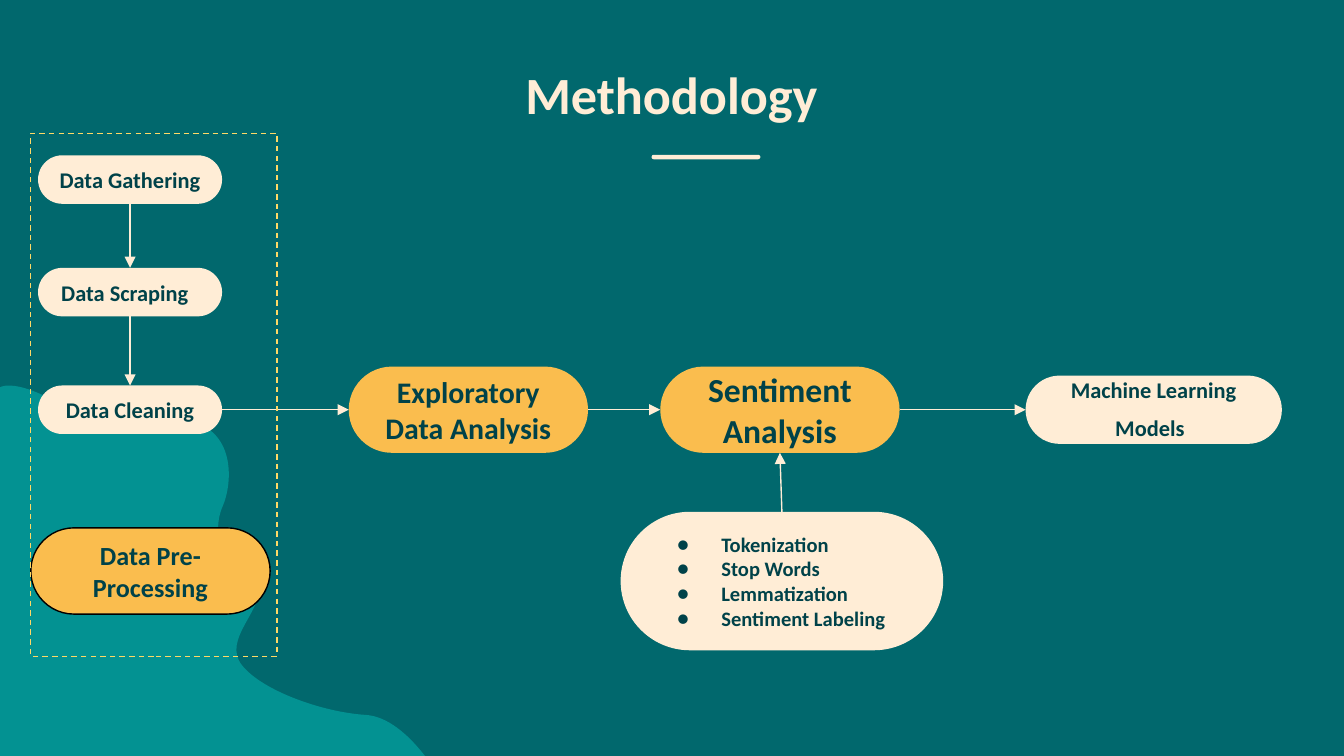
import pptx
import pptx.dml.color
import pptx.enum.dml
import pptx.enum.shapes
import pptx.enum.text
import pptx.oxml
import pptx.oxml.ns
import pptx.util

Pt = pptx.util.Pt
RGBColor = pptx.dml.color.RGBColor
SHAPE = pptx.enum.shapes.MSO_SHAPE
ALIGN = pptx.enum.text.PP_ALIGN
ANCHOR = pptx.enum.text.MSO_ANCHOR

TEAL = RGBColor(0x01, 0x68, 0x6D)
WAVE = RGBColor(0x03, 0x92, 0x92)
CREAM = RGBColor(0xFF, 0xED, 0xD6)
AMBER = RGBColor(0xFA, 0xBD, 0x4E)
INK = RGBColor(0x00, 0x42, 0x49)
GOLD = RGBColor(0xFF, 0xD9, 0x66)
BLACK = RGBColor(0, 0, 0)
FONT = "Calibri"
INSET = 7.2

TITLE = "Methodology"
TECHNIQUES = ["Tokenization", "Stop Words", "Lemmatization", "Sentiment Labeling"]

SMALL, LARGE, MODELS = (98.6, 26), (128.2, 46.2), (137.3, 36.6)
ROW_Y, COLUMN_X = 219.5, 69.7
STEPS = {
    "gathering": ("Data Gathering", COLUMN_X, 96.2, SMALL, CREAM, 12),
    "scraping": ("Data Scraping", COLUMN_X, 156.5, SMALL, CREAM, 12),
    "cleaning": ("Data Cleaning", COLUMN_X, ROW_Y, SMALL, CREAM, 12),
    "preprocessing": ("Data Pre-Processing", 80.6, 305.9, LARGE, AMBER, 14),
    "exploratory": ("Exploratory Data Analysis", 250.9, ROW_Y, LARGE, AMBER, 16),
    "sentiment": ("Sentiment Analysis", 417.8, ROW_Y, LARGE, AMBER, 18),
    "models": ("Machine Learning Models", 618.1, ROW_Y, MODELS, CREAM, 12),
}
TOP, LEFT, BOTTOM, RIGHT = range(4)
ARROWS = [
    ("gathering", BOTTOM, "scraping", TOP),
    ("scraping", BOTTOM, "cleaning", TOP),
    ("cleaning", RIGHT, "exploratory", LEFT),
    ("exploratory", RIGHT, "sentiment", LEFT),
    ("sentiment", RIGHT, "models", LEFT),
    ("techniques", TOP, "sentiment", BOTTOM),
]
WAVE_START = (-0.89, 1.78)
WAVE_CURVES = [
    (-0.9, 1.78, -0.92, 1.79, -0.93, 1.79),
    (-1.15, 1.85, -1.1, 5.42, -1.1, 5.42),
    (-1.1, 5.42, 1.05, 6.17, 1.48, 6.15),
    (1.49, 6.15, 1.5, 6.15, 1.5, 6.15),
    (1.86, 6.1, 3.32, 5.87, 3.32, 5.87),
    (3.32, 5.87, 3.05, 5.34, 2.72, 5.32),
    (2.4, 5.3, 1.95, 5.14, 1.8, 4.95),
    (1.65, 4.76, 1.96, 4.54, 1.92, 4.37),
    (1.88, 4.2, 1.72, 4.19, 1.67, 4.12),
    (1.62, 4.04, 1.6, 3.89, 1.66, 3.76),
    (1.72, 3.62, 1.76, 3.26, 1.47, 3.15),
    (1.47, 3.15, 1.43, 2.96, 1.17, 2.97),
    (1.17, 2.97, 1.16, 2.97, 1.15, 2.97),
    (0.94, 2.99, 0.79, 3.11, 0.67, 3.12),
    (0.63, 3.12, 0.59, 3.11, 0.56, 3.08),
    (0.43, 2.99, 0.2, 2.86, 0.05, 2.87),
    (0.03, 2.87, 0, 2.88, -0.02, 2.89),
    (-0.02, 2.89, 0.03, 2.71, -0.16, 2.7),
    (-0.16, 2.7, -0.54, 2.55, -0.53, 2.38),
    (-0.53, 2.23, -0.68, 1.77, -0.89, 1.78),
]


def add_child(parent, tag, **attributes):
    child = pptx.oxml.parse_xml(f"<a:{tag} {pptx.oxml.ns.nsdecls('a')}/>")
    for key, value in attributes.items():
        child.set(key, value)
    parent.append(child)
    return child


def to_points(x, y):
    return Pt(x * 72), Pt(y * 72)


def add_wave(slide):
    builder = slide.shapes.build_freeform(*to_points(*WAVE_START))
    builder.add_line_segments([to_points(*curve[4:]) for curve in WAVE_CURVES], close=True)
    wave = builder.convert_to_shape()
    segments = wave._element.findall(".//" + pptx.oxml.ns.qn("a:lnTo"))
    for segment, curve in zip(segments, WAVE_CURVES):
        bend = add_child(segment.getparent(), "cubicBezTo")
        for start in (0, 2, 4):
            x, y = to_points(*curve[start:start + 2])
            add_child(bend, "pt", x=str(x - wave.left), y=str(y - wave.top))
        segment.getparent().replace(segment, bend)
    wave.shadow.inherit = False
    wave.fill.solid()
    wave.fill.fore_color.rgb = WAVE
    wave.line.fill.background()
    slide.shapes._spTree.insert(2, wave._element)


def add_pill(slide, x, y, size, fill):
    width, height = size
    pill = slide.shapes.add_shape(
        SHAPE.ROUNDED_RECTANGLE,
        Pt(x - width / 2), Pt(y - height / 2), Pt(width), Pt(height))
    pill.adjustments[0] = 0.5
    pill.shadow.inherit = False
    pill.fill.solid()
    pill.fill.fore_color.rgb = fill
    pill.line.fill.background()
    set_frame(pill.text_frame)
    return pill


def set_frame(frame):
    frame.word_wrap = True
    frame.vertical_anchor = ANCHOR.MIDDLE
    frame.margin_left = frame.margin_right = Pt(INSET)
    frame.margin_top = frame.margin_bottom = Pt(INSET)


def write(paragraph, text, size, color=INK, align=ALIGN.CENTER, bold=True):
    paragraph.alignment = align
    run = paragraph.add_run()
    run.text = text
    run.font.name = FONT
    run.font.size = Pt(size)
    run.font.bold = bold
    run.font.color.rgb = color


def add_title(slide):
    title = slide.shapes.title
    title.left, title.top, title.width, title.height = Pt(2.9), Pt(26), Pt(713.5), Pt(45.4)
    set_frame(title.text_frame)
    title.text_frame.vertical_anchor = ANCHOR.TOP
    write(title.text_frame.paragraphs[0], TITLE, 28, CREAM)
    add_pill(slide, 378.2, 84.1, (58.3, 2.4), CREAM)


def add_techniques(slide):
    pill = add_pill(slide, 418.9, 311.3, (172.8, 74.2), CREAM)
    frame = pill.text_frame
    for index, technique in enumerate(TECHNIQUES):
        paragraph = frame.add_paragraph() if index else frame.paragraphs[0]
        properties = paragraph._p.get_or_add_pPr()
        properties.set("marL", str(Pt(36)))
        properties.set("indent", str(Pt(-23.76)))
        add_child(add_child(properties, "buClr"), "srgbClr", val=str(INK))
        add_child(properties, "buFont", typeface=FONT)
        add_child(properties, "buChar", char="●")
        write(paragraph, technique, 11, align=ALIGN.JUSTIFY)
    return pill


def add_arrow(slide, source, source_side, target, target_side):
    arrow = slide.shapes.add_connector(pptx.enum.shapes.MSO_CONNECTOR.STRAIGHT, 0, 0, 0, 0)
    arrow.begin_connect(source, source_side)
    arrow.end_connect(target, target_side)
    arrow.line.color.rgb = CREAM
    arrow.line.width = Pt(0.75)
    add_child(arrow.line._get_or_add_ln(), "tailEnd", type="triangle")
    add_child(arrow._element.spPr, "effectLst")


def add_stage_frame(slide):
    stage = slide.shapes.add_shape(SHAPE.RECTANGLE, Pt(16.4), Pt(71.4), Pt(132), Pt(280.2))
    stage.shadow.inherit = False
    stage.fill.background()
    stage.line.color.rgb = GOLD
    stage.line.width = Pt(0.75)
    stage.line.dash_style = pptx.enum.dml.MSO_LINE.DASH


def main():
    deck = pptx.Presentation()
    deck.slide_width, deck.slide_height = Pt(720), Pt(405)
    slide = deck.slides.add_slide(deck.slide_layouts[5])
    slide.background.fill.solid()
    slide.background.fill.fore_color.rgb = TEAL
    add_wave(slide)
    add_title(slide)
    pills = {"techniques": add_techniques(slide)}
    for key, (label, x, y, size, fill, font_size) in STEPS.items():
        pills[key] = add_pill(slide, x, y, size, fill)
        write(pills[key].text_frame.paragraphs[0], label, font_size)
    pills["scraping"].text_frame.margin_right = Pt(INSET + 5.4)
    write(pills["models"].text_frame.paragraphs[0], " ", 18, bold=False)
    pills["preprocessing"].line.color.rgb = BLACK
    pills["preprocessing"].line.width = Pt(0.75)
    for source, source_side, target, target_side in ARROWS:
        add_arrow(slide, pills[source], source_side, pills[target], target_side)
    add_stage_frame(slide)
    deck.save("out.pptx")


if __name__ == "__main__":
    main()
